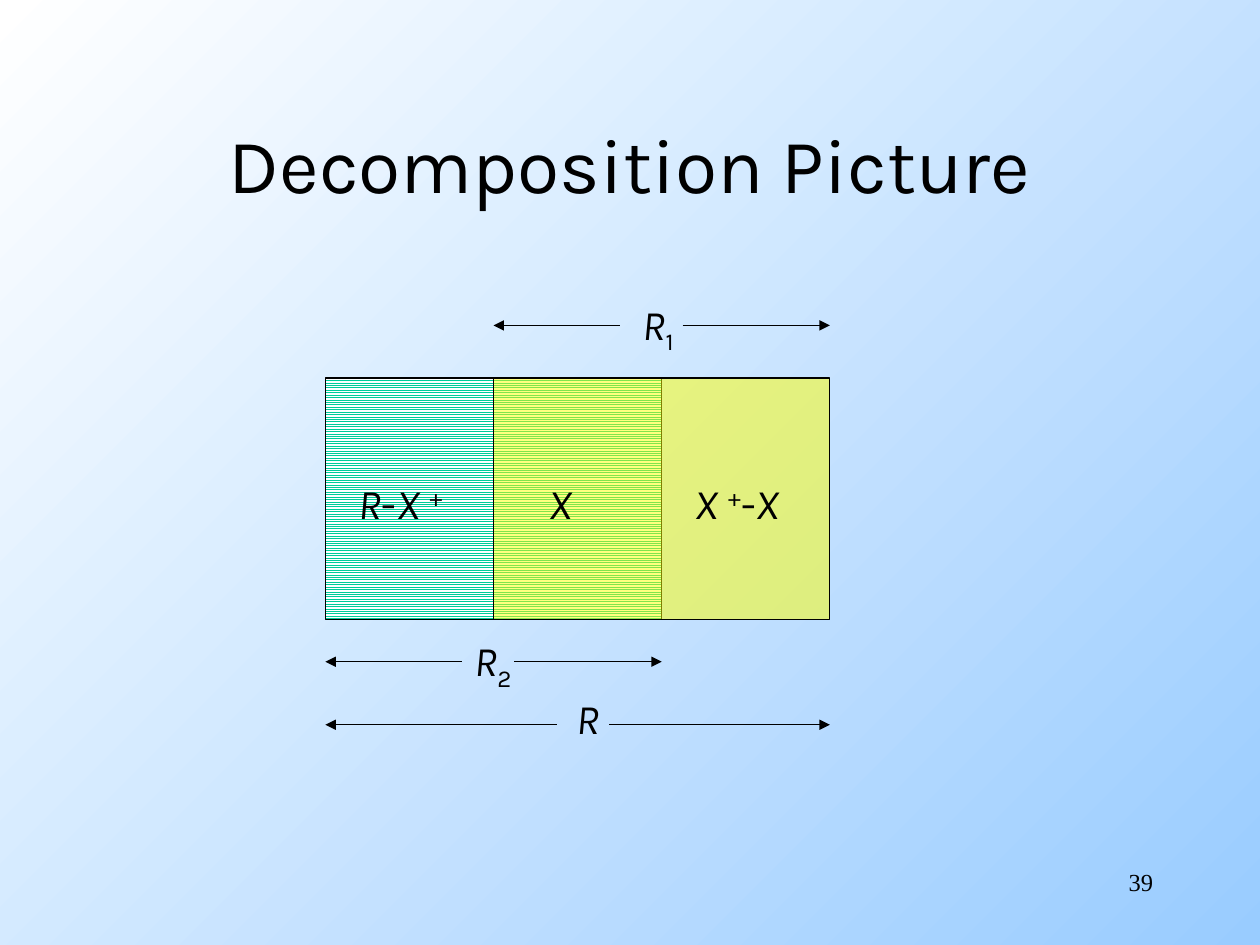
from lxml.etree import SubElement
from pptx import Presentation
from pptx.dml.color import RGBColor
from pptx.enum.dml import MSO_PATTERN
from pptx.enum.shapes import MSO_CONNECTOR, MSO_SHAPE
from pptx.enum.text import MSO_ANCHOR, MSO_AUTO_SIZE, PP_ALIGN
from pptx.oxml.ns import qn
from pptx.util import Cm, Pt

COLOURS = {"ink": "000000", "white": "FFFFFF", "sky": "99CCFF",
           "green": "00CC99", "yellow": "FFFF00"}

# Each span style is (italic, baseline in thousandths of a percent).
SPAN_STYLES = {"plain": (False, None), "italic": (True, None),
               "super": (False, 30000), "sub": (False, -25000)}

LEFT, COLUMN = 6.56, 3.39
EDGES = [LEFT + COLUMN * i for i in range(4)]
TOP, HEIGHT = 7.62, 4.87
LABEL_HEIGHT = 1.27


def colour(name):
    return RGBColor.from_string(COLOURS[name])


class SlideBuilder:
    """Holds the text style and the slide being drawn."""

    font, size, line_width = "Karla", 24, 0.75

    def __init__(self, page):
        self.page = page

    def background(self, start, end):
        fill = self.page.background.fill
        fill.gradient()
        fill.gradient_angle = 315
        for stop, name in zip(fill.gradient_stops, (start, end)):
            stop.color.rgb = colour(name)

    def text(self, spans, left, top, width, height, align=PP_ALIGN.LEFT,
             anchor=MSO_ANCHOR.TOP, wrap=False, **font):
        box = self.page.shapes.add_textbox(Cm(left), Cm(top), Cm(width), Cm(height))
        frame_format = {
            "word_wrap": wrap, "vertical_anchor": anchor,
            "auto_size": MSO_AUTO_SIZE.NONE if wrap else MSO_AUTO_SIZE.SHAPE_TO_FIT_TEXT}
        for name, value in frame_format.items():
            setattr(box.text_frame, name, value)
        para = box.text_frame.paragraphs[0]
        para.alignment = align
        for text, style in spans:
            span = para.add_run()
            span.text = text
            italic, baseline = SPAN_STYLES[style]
            font_format = {"name": self.font, "size": Pt(self.size),
                           "italic": italic, **font}
            for name, value in font_format.items():
                setattr(span.font, name, value)
            span.font.color.rgb = colour("ink")
            if baseline:
                span.font._element.set("baseline", str(baseline))

    def outline(self, line):
        line.color.rgb = colour("ink")
        line.width = Pt(self.line_width)

    def rectangle(self, left, right):
        box = self.page.shapes.add_shape(
            MSO_SHAPE.RECTANGLE, Cm(left), Cm(TOP), Cm(right - left), Cm(HEIGHT))
        box.shadow.inherit = False
        self.outline(box.line)
        return box

    def striped_rectangle(self, left, right):
        fill = self.rectangle(left, right).fill
        fill.patterned()
        fill.pattern = MSO_PATTERN.LIGHT_HORIZONTAL
        fill.fore_color.rgb = colour("green")
        fill.back_color.rgb = colour("white")

    def translucent_rectangle(self, left, right):
        box = self.rectangle(left, right)
        box.fill.solid()
        box.fill.fore_color.rgb = colour("yellow")
        solid = box._element.spPr.find(qn("a:solidFill"))
        SubElement(solid.find(qn("a:srgbClr")), qn("a:alpha"), val="50000")

    def arrow(self, start, end, y):
        arrow = self.page.shapes.add_connector(
            MSO_CONNECTOR.STRAIGHT, Cm(start), Cm(y), Cm(end), Cm(y))
        self.outline(arrow.line)
        SubElement(arrow.line._get_or_add_ln(), qn("a:tailEnd"), type="triangle")
        SubElement(arrow._element.spPr, qn("a:effectLst"))

    def extent(self, left, right, gap, y):
        """Draws two arrows pointing outwards from a gap left for a label."""
        for start, end in zip(gap, (left, right)):
            self.arrow(start, end, y)


def main():
    deck = Presentation()
    deck.slide_width, deck.slide_height = Cm(25.4), Cm(19.05)
    slide = SlideBuilder(deck.slides.add_slide(deck.slide_layouts[6]))
    slide.background("white", "sky")

    slide.text([("39", "plain")], 18.2, 17.36, 5.3, 1.27, align=PP_ALIGN.RIGHT,
               wrap=True, name="Times New Roman", size=Pt(14))
    slide.text([("Decomposition Picture", "plain")], 1.9, 1.7, 21.6, 3.18,
               align=PP_ALIGN.CENTER, anchor=MSO_ANCHOR.MIDDLE, wrap=True, size=Pt(44))

    slide.striped_rectangle(EDGES[0], EDGES[2])
    slide.translucent_rectangle(EDGES[1], EDGES[3])

    labels = [
        ([("R", "italic"), ("-", "plain"), ("X ", "italic"), ("+", "super")],
         6.98, 9.5, 2.51),
        ([("X", "italic")], 10.8, 9.5, 0.99),
        ([("X ", "italic"), ("+", "super"), ("-", "plain"), ("X", "italic")],
         13.76, 9.5, 2.46),
        ([("R", "italic"), ("1", "sub")], 12.7, 5.89, 1.35),
        ([("R", "italic"), ("2", "sub")], 9.31, 12.67, 1.35),
        ([("R", "italic")], 11.38, 13.84, 1.04),
    ]
    for spans, left, top, width in labels:
        slide.text(spans, left, top, width, LABEL_HEIGHT)

    slide.extent(EDGES[1], EDGES[3], (12.49, 13.76), 6.56)
    slide.extent(EDGES[0], EDGES[2], (9.31, 10.37), 13.34)
    slide.extent(EDGES[0], EDGES[3], (11.22, 12.28), 14.61)

    deck.save("out.pptx")


if __name__ == "__main__":
    main()
